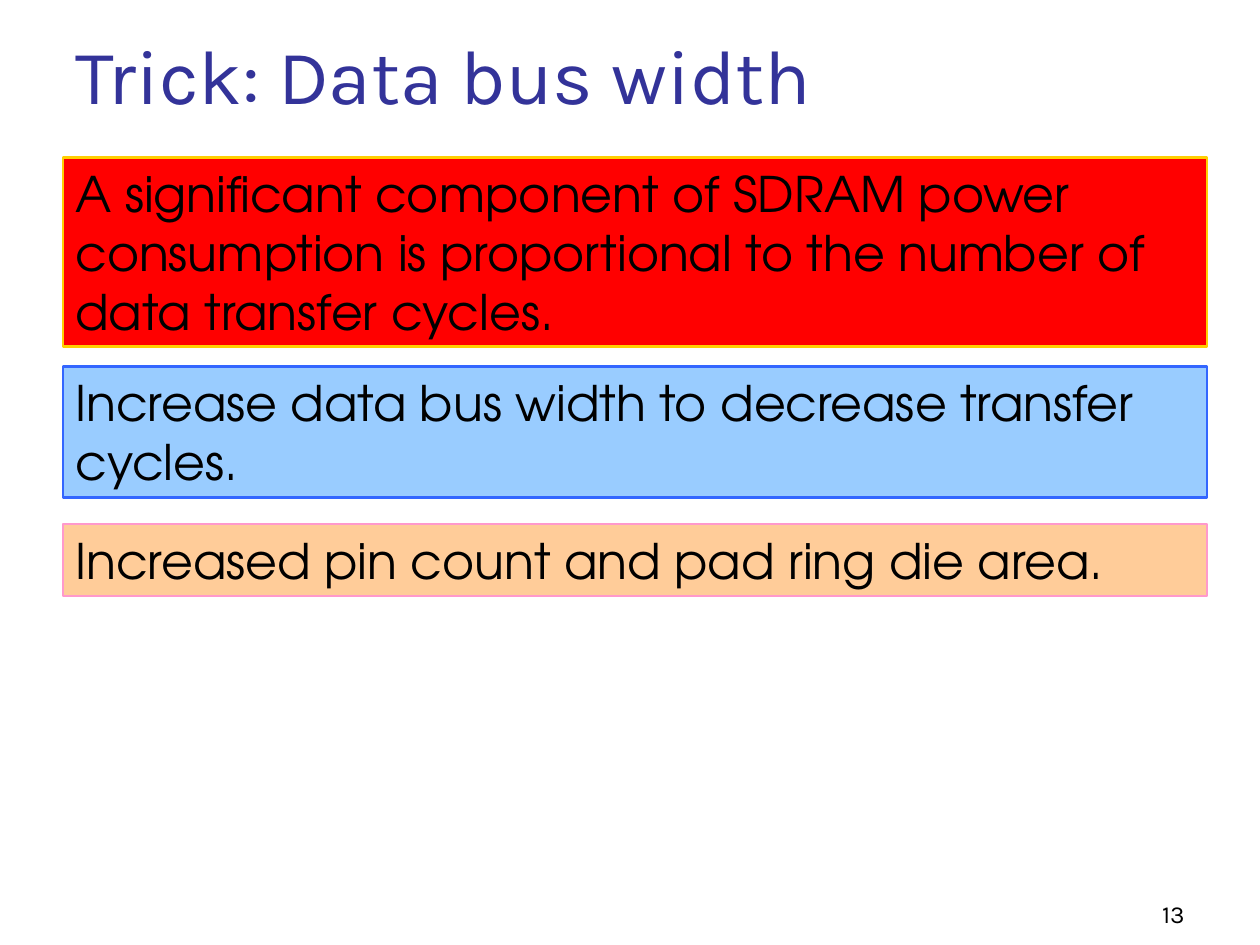
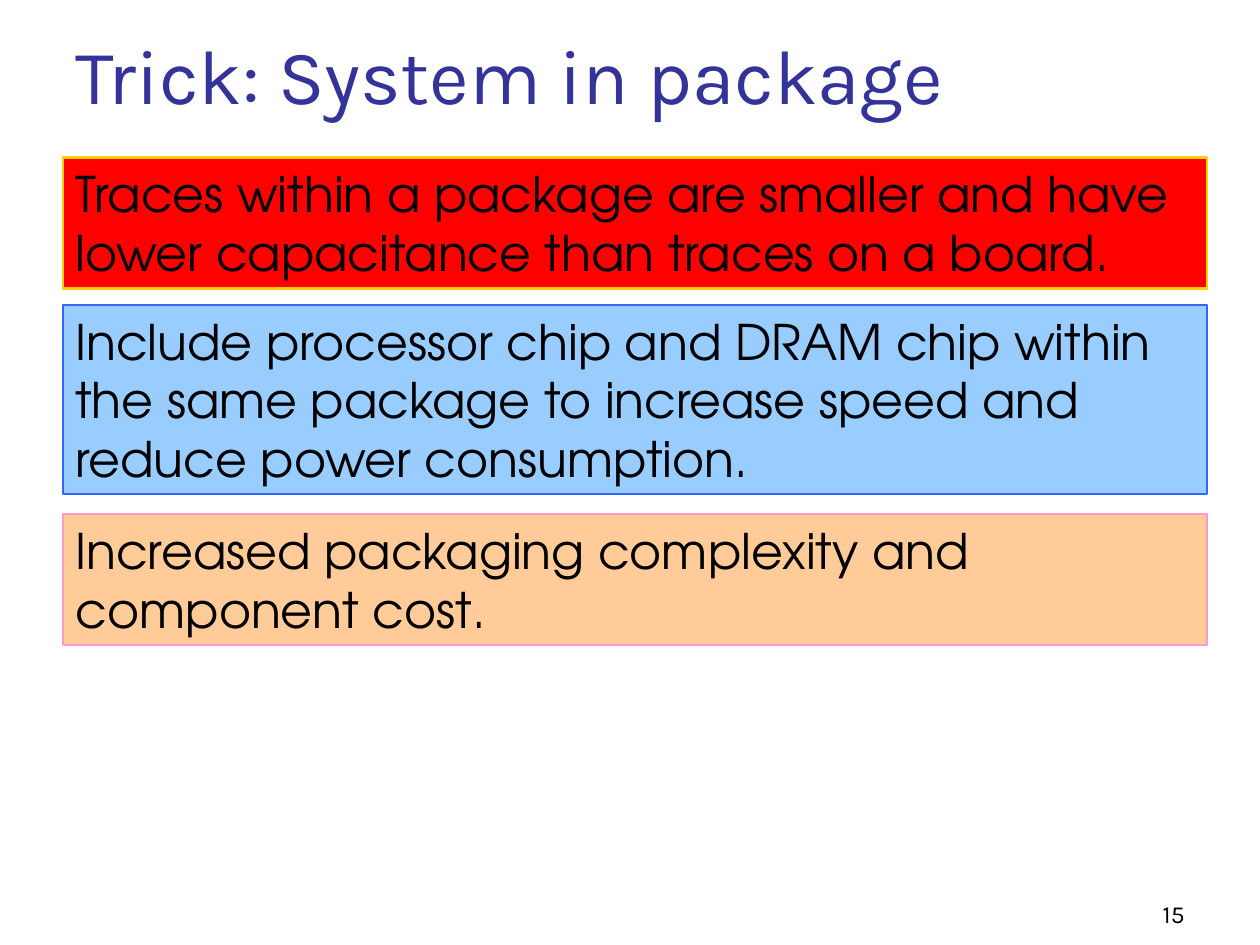
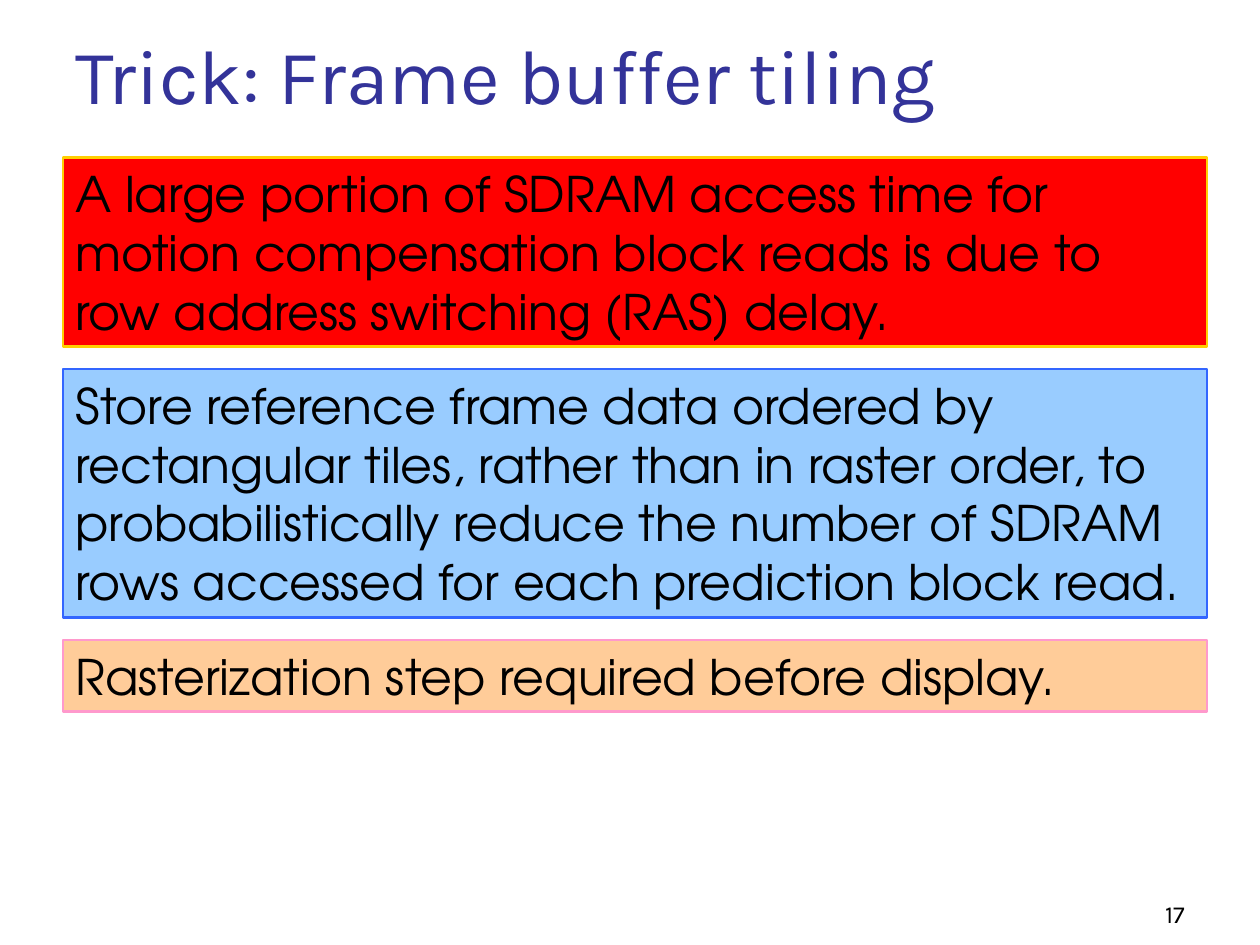
from dataclasses import dataclass

from pptx import Presentation
from pptx.dml.color import RGBColor as RGB
from pptx.enum.shapes import MSO_SHAPE as SHAPE
from pptx.enum.text import MSO_ANCHOR as ANCHOR, MSO_AUTO_SIZE as AUTOSIZE, PP_ALIGN as ALIGN
from pptx.util import Emu, Pt

EMU_PER_PX = 9144


@dataclass(frozen=True)
class TextStyle:
    font: str
    size: int
    color: str
    align: ALIGN = ALIGN.LEFT
    anchor: ANCHOR = ANCHOR.TOP


@dataclass(frozen=True)
class PanelStyle:
    fill: str
    line: str


@dataclass(frozen=True)
class Theme:
    title: TextStyle = TextStyle("Karla", 44, "333399", anchor=ANCHOR.BOTTOM)
    body: TextStyle = TextStyle("TeX Gyre Adventor", 28, "000000")
    number: TextStyle = TextStyle("Karla", 14, "000000", ALIGN.RIGHT, ANCHOR.BOTTOM)
    problem: PanelStyle = PanelStyle("FF0000", "FFCF01")
    solution: PanelStyle = PanelStyle("99CCFF", "3366FF")
    cost: PanelStyle = PanelStyle("FFCC99", "FF99CC")
    line_width: float = 1.5


@dataclass(frozen=True)
class Box:
    left: int
    top: int
    width: int
    height: int

    def emu(self) -> tuple[Emu, ...]:
        return tuple(px(v) for v in (self.left, self.top, self.width, self.height))


@dataclass(frozen=True)
class Panel:
    style: PanelStyle
    top: int
    lines: int
    text: str

    def box(self) -> Box:
        return Box(50, self.top, 908, round(57 + (self.lines - 1) * 140 / 3))


@dataclass(frozen=True)
class Trick:
    number: int
    title: str
    panels: tuple[Panel, ...]


THEME = Theme()
TITLE_BOX = Box(50, 25, 928, 75)
NUMBER_BOX = Box(742, 692, 208, 50)

TRICKS = (
    Trick(13, "Trick: Data bus width", (
        Panel(THEME.problem, 125, 3,
              "A significant component of SDRAM power consumption is proportional "
              "to the number of data transfer cycles."),
        Panel(THEME.solution, 291, 2, "Increase data bus width to decrease transfer cycles."),
        Panel(THEME.cost, 416, 1, "Increased pin count and pad ring die area."),
    )),
    Trick(15, "Trick: System in package", (
        Panel(THEME.problem, 125, 2,
              "Traces within a package are smaller and have lower capacitance "
              "than traces on a board."),
        Panel(THEME.solution, 242, 3,
              "Include processor chip and DRAM chip within the same package "
              "to increase speed and reduce power consumption."),
        Panel(THEME.cost, 408, 2, "Increased packaging complexity and component cost."),
    )),
    Trick(17, "Trick: Frame buffer tiling", (
        Panel(THEME.problem, 125, 3,
              "A large portion of SDRAM access time for motion compensation block reads "
              "is due to row address switching (RAS) delay."),
        Panel(THEME.solution, 293, 4,
              "Store reference frame data ordered by rectangular tiles, rather than in "
              "raster order, to probabilistically reduce the number of SDRAM rows "
              "accessed for each prediction block read."),
        Panel(THEME.cost, 508, 1, "Rasterization step required before display."),
    )),
)


def px(value: int) -> Emu:
    return Emu(value * EMU_PER_PX)


def set_text(sp, text: str, style: TextStyle) -> None:
    tf = sp.text_frame
    tf.text = text
    tf.word_wrap = True
    tf.vertical_anchor = style.anchor
    p = tf.paragraphs[0]
    p.alignment = style.align
    font = p.runs[0].font
    font.name = style.font
    font.size = Pt(style.size)
    font.color.rgb = RGB.from_string(style.color)


def add_text(s, box: Box, text: str, style: TextStyle) -> None:
    set_text(s.shapes.add_textbox(*box.emu()), text, style)


def add_panel(s, panel: Panel) -> None:
    sp = s.shapes.add_shape(SHAPE.RECTANGLE, *panel.box().emu())
    sp.shadow.inherit = False
    sp.fill.solid()
    sp.fill.fore_color.rgb = RGB.from_string(panel.style.fill)
    sp.line.color.rgb = RGB.from_string(panel.style.line)
    sp.line.width = Pt(THEME.line_width)
    set_text(sp, panel.text, THEME.body)
    sp.text_frame.auto_size = AUTOSIZE.SHAPE_TO_FIT_TEXT


def add_trick(prs, trick: Trick) -> None:
    s = prs.slides.add_slide(prs.slide_layouts[6])
    add_text(s, TITLE_BOX, trick.title, THEME.title)
    for panel in trick.panels:
        add_panel(s, panel)
    add_text(s, NUMBER_BOX, str(trick.number), THEME.number)


def main() -> None:
    prs = Presentation()
    prs.slide_width, prs.slide_height = px(1000), px(750)
    for trick in TRICKS:
        add_trick(prs, trick)
    prs.save("out.pptx")


if __name__ == "__main__":
    main()
